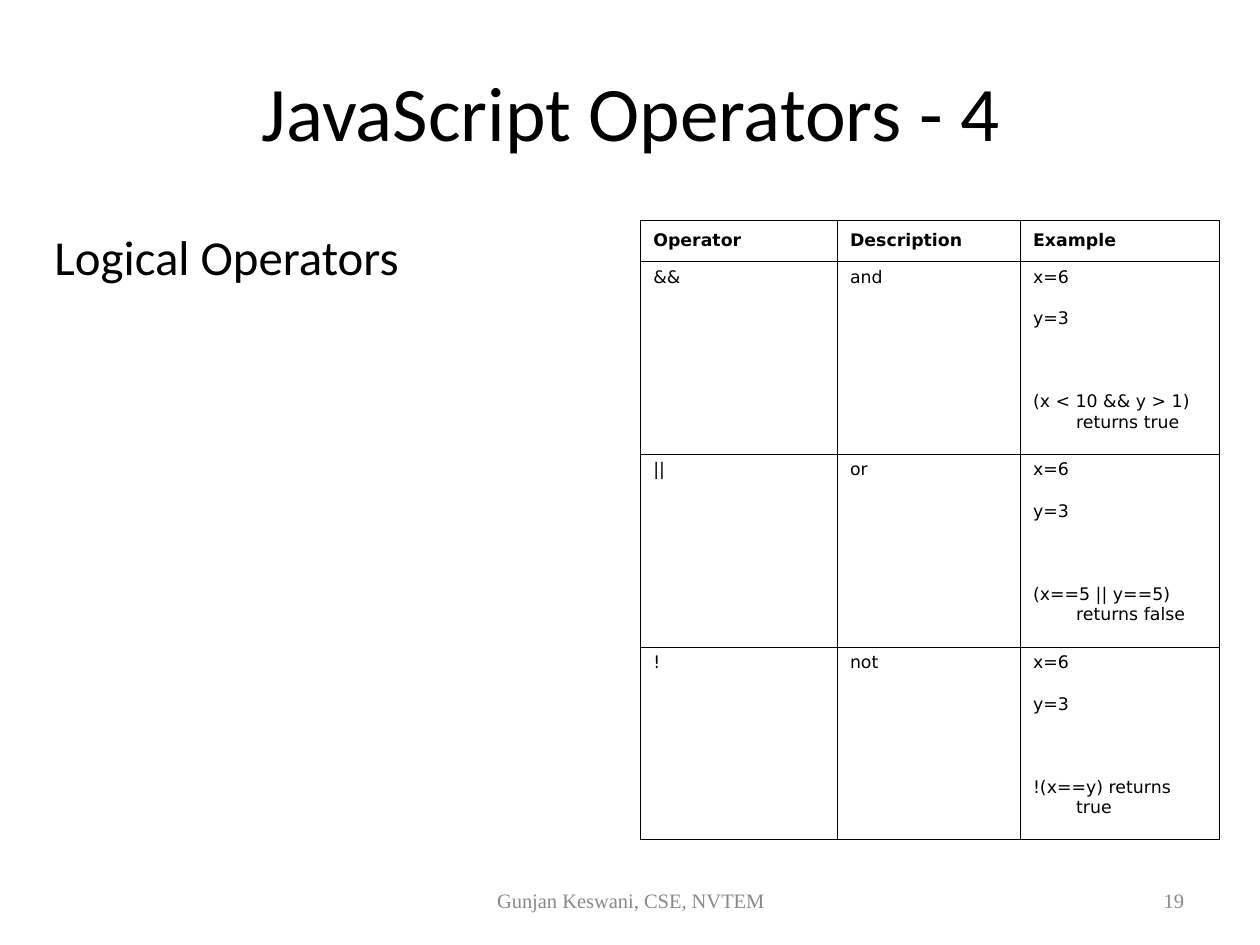
from lxml import etree
from pptx import Presentation, util as u
from pptx.dml import color
from pptx.enum import text
from pptx.oxml import ns

WIDTH_PT, HEIGHT_PT = 799.88, 600.12
BLACK, WHITE, GRAY = "000000", "FFFFFF", "898989"
TOP, MIDDLE = text.MSO_ANCHOR.TOP, text.MSO_ANCHOR.MIDDLE
LEFT, CENTER, RIGHT = text.PP_ALIGN.LEFT, text.PP_ALIGN.CENTER, text.PP_ALIGN.RIGHT
HEADINGS = ["Operator", "Description", "Example"]
OPERATORS = [
    ("&&", "and", "(x < 10 && y > 1) returns true"),
    ("||", "or", "(x==5 || y==5) returns false"),
    ("!", "not", "!(x==y) returns true"),
]
COLUMN_WIDTHS_PT = [124.9, 116.2, 126.1]
LINE_HEIGHTS_PT = [26.4, 26.4, 26.4, 43.2]


def rgb(value):
    return color.RGBColor.from_string(value)


def write(tf, words, font="Calibri", size=11, fill=BLACK, bold=False,
          align=LEFT, before=0, hang=0):
    p = tf.paragraphs[0]
    p.alignment = align
    p.space_before = u.Pt(before)
    pPr = p._p.get_or_add_pPr()
    pPr.set("marL", str(u.Inches(hang)))
    pPr.set("indent", str(-u.Inches(hang)))
    etree.SubElement(pPr, ns.qn("a:buNone"))
    r = p.add_run()
    r.text = words
    r.font.name, r.font.size, r.font.bold = font, u.Pt(size), bold
    r.font.color.rgb = rgb(fill)


def fit(sp, box, anchor):
    sp.left, sp.top, sp.width, sp.height = (u.Inches(n) for n in box)
    tf = sp.text_frame
    tf.word_wrap = True
    tf.auto_size = text.MSO_AUTO_SIZE.NONE
    tf.vertical_anchor = anchor
    tf.margin_left = tf.margin_right = u.Inches(0.11)
    tf.margin_top = tf.margin_bottom = u.Inches(0.06)
    return tf


def title(s, box, words):
    write(fit(s.shapes.title, box, MIDDLE), words, size=49, align=CENTER)


def body(s, box, words):
    write(fit(s.placeholders[1], box, TOP), words, size=31, before=7.7, hang=0.41)


def footer(s, box, words, align):
    sp = s.shapes.add_textbox(*(u.Inches(n) for n in box))
    write(fit(sp, box, MIDDLE), words, font="Times New Roman", size=13,
          fill=GRAY, align=align)


def border(cell, sides):
    tcPr = cell._tc.get_or_add_tcPr()
    for side in "LRTB":
        ln = etree.SubElement(tcPr, ns.qn("a:ln" + side), w=str(u.Pt(0.45)))
        if side in sides:
            solid = etree.SubElement(ln, ns.qn("a:solidFill"))
            etree.SubElement(solid, ns.qn("a:srgbClr"), val=BLACK)
        else:
            etree.SubElement(ln, ns.qn("a:noFill"))


def format_cell(cell, words, sides, heading=False):
    border(cell, sides)
    cell.fill.solid()
    cell.fill.fore_color.rgb = rgb(WHITE)
    cell.vertical_anchor = MIDDLE if heading else TOP
    cell.margin_left = cell.margin_right = u.Inches(0.11)
    cell.margin_top = cell.margin_bottom = u.Inches(0.05 if words else 0)
    if words:
        write(cell.text_frame, words, font="DejaVu Sans", bold=heading, hang=0.38)


def operator_table(s, box):
    lines = len(LINE_HEIGHTS_PT)
    heights = LINE_HEIGHTS_PT[:1] + LINE_HEIGHTS_PT * len(OPERATORS)
    frame = s.shapes.add_table(len(heights), len(COLUMN_WIDTHS_PT),
                               *(u.Inches(n) for n in box))
    table = frame.table
    table.first_row = table.horz_banding = False
    for column, width in zip(table.columns, COLUMN_WIDTHS_PT):
        column.width = u.Pt(width)
    for row, height in zip(table.rows, heights):
        row.height = u.Pt(height)
    for c, heading in enumerate(HEADINGS):
        format_cell(table.cell(0, c), heading, "LRTB", heading=True)
    for i, (symbol, meaning, example) in enumerate(OPERATORS):
        first = 1 + i * lines
        for c, words in enumerate((symbol, meaning)):
            table.cell(first, c).merge(table.cell(first + lines - 1, c))
            format_cell(table.cell(first, c), words, "LRTB")
            for n in range(1, lines):
                format_cell(table.cell(first + n, c), "",
                            "LRB" if n == lines - 1 else "LR")
        for n, words in enumerate(("x=6", "y=3", "", example)):
            edge = {0: "T", lines - 1: "B"}.get(n, "")
            format_cell(table.cell(first + n, 2), words, "LR" + edge)


def main():
    prs = Presentation()
    prs.slide_width, prs.slide_height = u.Pt(WIDTH_PT), u.Pt(HEIGHT_PT)
    s = prs.slides.add_slide(prs.slide_layouts[1])
    margin, content_top, half, content_height = 0.37, 1.94, 5.1, 5.47
    title(s, (margin, 0.28, 10.38, 1.39), "JavaScript Operators - 4")
    body(s, (margin, content_top, half, content_height), "Logical Operators")
    operator_table(s, (5.65, content_top, half, content_height))
    footer(s, (3.8, 7.72, 3.52, 0.44), "Gunjan Keswani, CSE, NVTEM", CENTER)
    footer(s, (7.96, 7.72, 2.59, 0.44), "19", RIGHT)
    prs.save("out.pptx")


if __name__ == "__main__":
    main()
